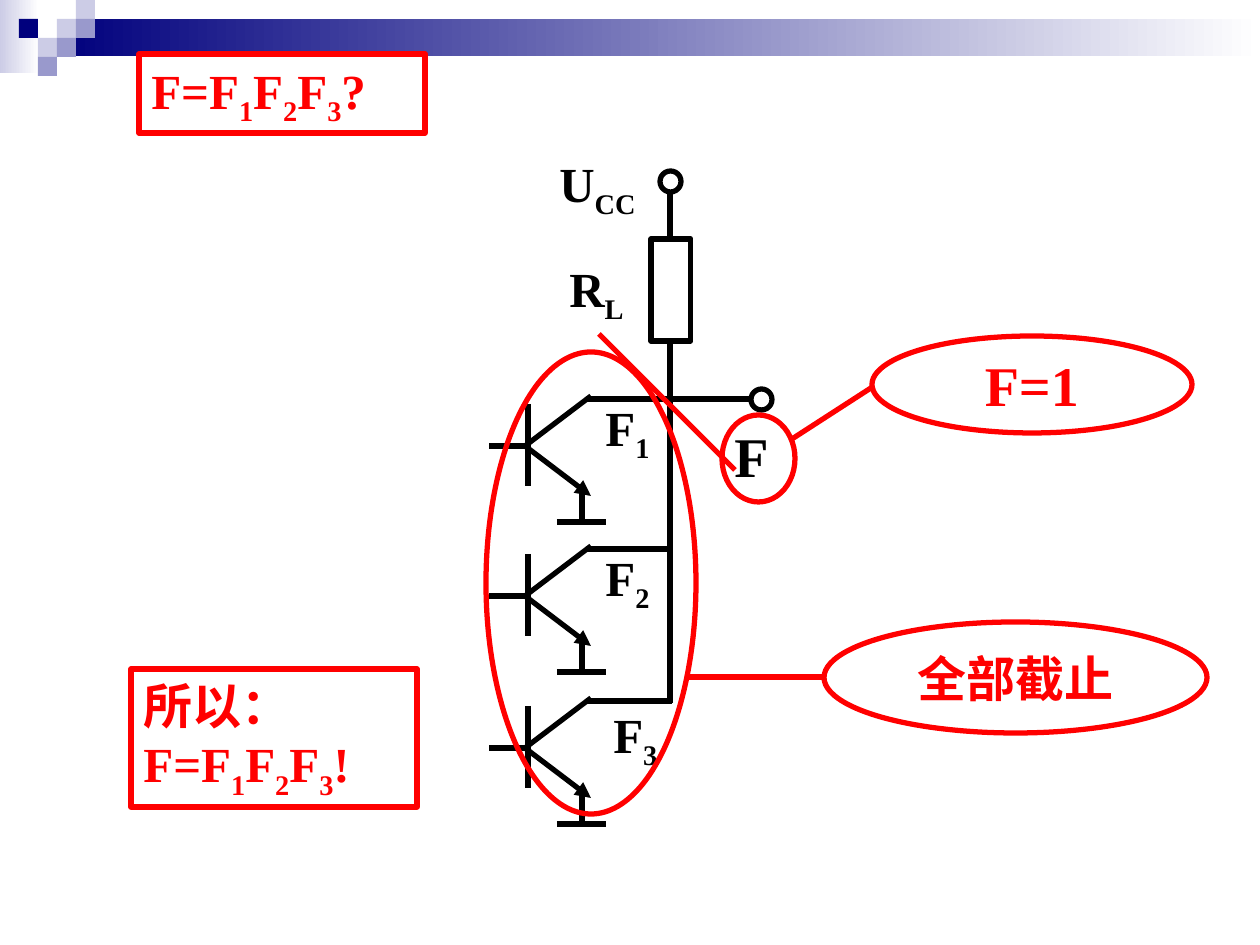
from dataclasses import dataclass

from lxml import etree
from pptx import Presentation
from pptx import util as u
from pptx.dml.color import RGBColor
from pptx.enum import shapes, text
from pptx.oxml.ns import qn

PX = 914400 / 126


@dataclass(frozen=True)
class Theme:
    font: str = "Times New Roman"
    ink: str = "000000"
    accent: str = "FF0000"
    white: str = "FFFFFF"
    navy: str = "00007D"
    lilac: str = "9999CC"
    pale: str = "CCCCE6"
    body: int = 28
    large: int = 32
    stroke: int = 3


T = Theme()


@dataclass(frozen=True)
class Box:
    x: int
    y: int
    w: int
    h: int


@dataclass(frozen=True)
class Label:
    """Text in which every second part between bars is a subscript."""
    markup: str
    box: Box
    size: int = T.body


@dataclass(frozen=True)
class Wire:
    x1: int
    y1: int
    x2: int
    y2: int
    arrow: bool = False


@dataclass(frozen=True)
class Callout:
    markup: str
    bubble: Box
    target: Box
    lead: Wire
    size: int


RECT, OVAL = shapes.MSO_SHAPE.RECTANGLE, shapes.MSO_SHAPE.OVAL
TILE = 19
TILES = [(3, 1, T.pale), (4, 0, T.pale), (4, 1, T.lilac), (2, 2, T.pale),
         (1, 1, T.navy), (3, 2, T.lilac), (2, 3, T.lilac)]

# Transistor parts, with y measured from the base lead
TRANSISTOR = [
    Wire(528, -42, 528, 40), Wire(525, 0, 591, 50, arrow=True),
    Wire(525, 0, 591, -50), Wire(525, 0, 489, 0), Wire(582, 47, 582, 76),
    Wire(557, 76, 606, 76), Wire(586, -47, 672, -47),
]
BASE_LEADS = [446, 596, 748]
RAILS = [Wire(670, 239, 670, 190), Wire(670, 341, 670, 703),
         Wire(670, 399, 751, 399)]
RESISTOR = Box(651, 239, 40, 102)
TERMINALS = [Box(660, 171, 21, 21), Box(751, 389, 21, 21)]
LABELS = [
    Label("U|CC", Box(547, 147, 131, 79)),
    Label("R|L", Box(557, 252, 147, 79)),
    Label("F|1", Box(593, 391, 77, 79)),
    Label("F|2", Box(593, 541, 77, 79)),
    Label("F|3", Box(601, 698, 77, 79)),
    Label("F", Box(722, 415, 97, 81), T.large),
]
CALLOUTS = [
    Callout("全部截止", Box(824, 622, 383, 111), Box(486, 352, 210, 462),
            Wire(686, 677, 824, 677), T.body),
    Callout("F=1", Box(872, 336, 320, 97), Box(722, 415, 73, 87),
            Wire(792, 439, 874, 386), T.large),
]
STRIKE = Wire(599, 334, 735, 470)
QUESTION = Label("F=F|1|F|2|F|3|?", Box(139, 54, 286, 79))
ANSWER = Label("所以：F=F|1|F|2|F|3|!", Box(131, 669, 286, 138))


def rgb(color: str) -> RGBColor:
    return RGBColor.from_string(color)


def emu(*lengths: int) -> list[int]:
    return [round(n * PX) for n in lengths]


def add_shape(s, kind, box: Box, line: str | None = None, fill: str | None = None):
    sp = s.shapes.add_shape(kind, *emu(box.x, box.y, box.w, box.h))
    sp.shadow.inherit = False
    if fill:
        sp.fill.solid()
        sp.fill.fore_color.rgb = rgb(fill)
    else:
        sp.fill.background()
    if line:
        sp.line.color.rgb = rgb(line)
        sp.line.width = u.Pt(T.stroke)
    else:
        sp.line.fill.background()
    return sp


def add_fade(s, box: Box, color: str) -> None:
    """Bar that fades from the colour at the left to white at the right."""
    sp = add_shape(s, RECT, box)
    sp.fill.gradient()
    sp.fill.gradient_angle = 180
    for stop, c in zip(sp.fill.gradient_stops, (T.white, color)):
        stop.color.rgb = rgb(c)


def add_wire(s, wire: Wire, color: str = T.ink, dy: int = 0) -> None:
    ends = emu(wire.x1, wire.y1 + dy, wire.x2, wire.y2 + dy)
    cxn = s.shapes.add_connector(shapes.MSO_CONNECTOR.STRAIGHT, *ends)
    cxn.line.color.rgb = rgb(color)
    cxn.line.width = u.Pt(T.stroke)
    if wire.arrow:
        etree.SubElement(cxn.line._get_or_add_ln(), qn("a:tailEnd"), type="triangle")
    etree.SubElement(cxn._element.spPr, qn("a:effectLst"))


def write(sp, markup: str, size: int, color: str, align, anchor, wrap: bool = True) -> None:
    tf = sp.text_frame
    tf.word_wrap = wrap
    tf.vertical_anchor = anchor
    p = tf.paragraphs[0]
    p.alignment = align
    p.font.name = T.font
    p.font.size = u.Pt(size)
    p.font.bold = True
    p.font.color.rgb = rgb(color)
    for i, part in enumerate(markup.split("|")):
        r = p.add_run()
        r.text = part
        font = r.font
        font.name, font.size, font.bold = T.font, u.Pt(size), True
        font.color.rgb = rgb(color)
        if i % 2:
            r._r.get_or_add_rPr().set("baseline", "-25000")


def add_label(s, label: Label) -> None:
    b = label.box
    sp = s.shapes.add_textbox(*emu(b.x, b.y, b.w, b.h))
    write(sp, label.markup, label.size, T.ink, text.PP_ALIGN.LEFT, text.MSO_ANCHOR.TOP)


def add_formula(s, label: Label, fill: str | None = None) -> None:
    sp = add_shape(s, RECT, label.box, T.accent, fill)
    write(sp, label.markup, label.size, T.accent, text.PP_ALIGN.LEFT, text.MSO_ANCHOR.TOP)


def add_callout(s, callout: Callout) -> None:
    add_shape(s, OVAL, callout.target, T.accent)
    add_wire(s, callout.lead, T.accent)
    sp = add_shape(s, OVAL, callout.bubble, T.accent)
    write(sp, callout.markup, callout.size, T.accent, text.PP_ALIGN.CENTER,
          text.MSO_ANCHOR.MIDDLE, wrap=False)


def add_header(s) -> None:
    add_fade(s, Box(0, 0, 39, 73), T.pale)
    add_fade(s, Box(57, 19, 1203, 37), T.navy)
    for col, row, color in TILES:
        add_shape(s, RECT, Box(col * TILE, row * TILE, TILE, TILE), fill=color)


def add_circuit(s) -> None:
    for y in BASE_LEADS:
        for wire in TRANSISTOR:
            add_wire(s, wire, dy=y)
    add_shape(s, RECT, RESISTOR, T.ink)
    for wire in RAILS:
        add_wire(s, wire)
    for box in TERMINALS:
        add_shape(s, OVAL, box, T.ink)
    for label in LABELS:
        add_label(s, label)


def main() -> None:
    prs = Presentation()
    prs.slide_width, prs.slide_height = emu(1260, 945)
    s = prs.slides.add_slide(prs.slide_layouts[6])
    add_header(s)
    add_circuit(s)
    for callout in CALLOUTS:
        add_callout(s, callout)
    add_wire(s, STRIKE, T.accent)
    add_formula(s, QUESTION)
    add_formula(s, ANSWER, T.white)
    prs.save("out.pptx")


if __name__ == "__main__":
    main()
